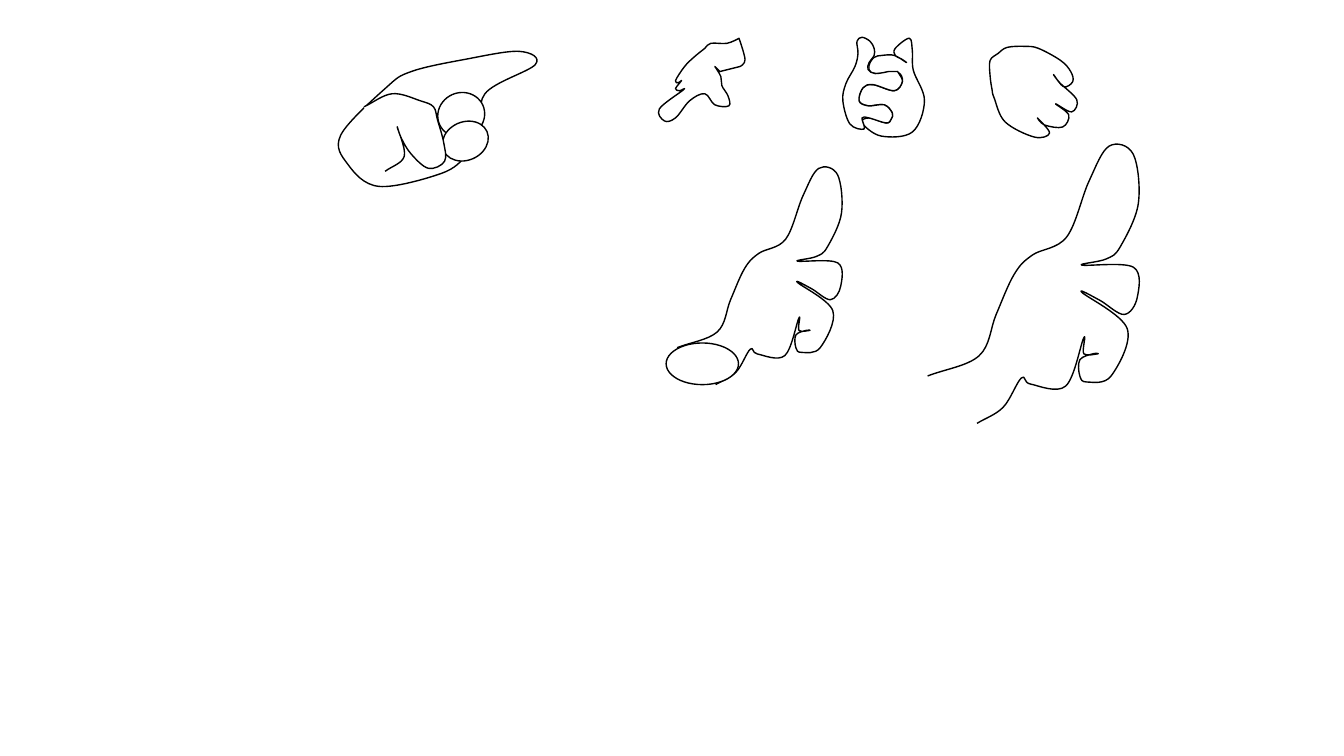
from collections import namedtuple
from itertools import chain

from pptx import Presentation
from pptx.dml.color import RGBColor
from pptx.enum.shapes import MSO_SHAPE as Shape
from pptx.oxml.xmlchemy import OxmlElement
from pptx.util import Inches, Pt

Box = namedtuple("Box", "left top scale")
INK, PAPER = "000000", "FFFFFF"
STROKE = {"width": Pt(1)}
HUNDREDTHS = 100
FINE = 10

THUMBS_UP = {
    "forearm": [(20, 273), (71, 253), (88, 212)],
    "back of hand": [(106, 172), (124, 153), (158, 135)],
    "thumb": [(180, 80), (200, 45), (224, 53), (229, 102), (211, 145), (197, 157)],
    "index finger": [(173, 163), (224, 165), (228, 195), (215, 212), (191, 198)],
    "middle finger": [(173, 190), (218, 226), (202, 273), (178, 279), (171, 273), (171, 257)],
    "crease": [(184, 251), (189, 251), (175, 251)],
    "ring finger": [(175, 235), (157, 283), (122, 281)],
    "wrist": [(113, 275), (95, 304), (69, 320)],
}
POINTING_PALM = {
    "index finger": [(231, 64), (215, 51), (161, 59), (108, 71)],
    "back of hand": [(83, 87), (38, 134), (45, 163), (76, 185)],
    "palm": [(138, 172), (163, 154), (177, 134), (181, 93)],
}
POINTING_FINGERS = {
    "knuckles": [(61, 106), (89, 93), (117, 100), (130, 106)],
    "ring finger": [(134, 119), (140, 141), (141, 160), (125, 167), (108, 153)],
    "little finger": [(98, 137), (94, 126), (101, 155), (82, 170)],
}
FIST = {
    "back of hand": [(99, 47), (117, 46), (130, 48), (152, 60)],
    "index finger": [(162, 71), (164, 81), (155, 86), (145, 74)],
    "middle finger": [(151, 82), (168, 99), (163, 111), (147, 103)],
    "ring finger": [(160, 114), (154, 126), (136, 124), (129, 117)],
    "little finger": [(141, 132), (126, 136), (97, 121)],
    "thumb side": [(86, 97), (84, 89), (82, 75), (82, 60), (90, 53)],
}
CUFF_CORNERS = [(133, 38), (134, 66), (114, 71), (109, 66)]
REACHING = {
    "cuff edge": [(133, 38), (139, 59), (134, 66), (114, 71), (109, 66)],
    "thumb": [(115, 76), (116, 85), (122, 95), (123, 105), (109, 104), (99, 93)],
    "index finger": [(84, 100), (70, 117), (59, 120), (54, 108), (78, 89)],
    "curled fingers": [(74, 90), (70, 88), (76, 80), (73, 82), (70, 80)],
    "back of hand": [(79, 66), (88, 57), (99, 48), (105, 43), (121, 43)],
}
SEAM = [(91, 72), (95, 81), (87, 90), (66, 84), (56, 87), (52, 100), (61, 105),
        (77, 104), (85, 112), (84, 118), (79, 122), (62, 117)]
SEAM_CORNERS = [(81, 71), (90, 71)]
CLASP_RIGHT = {
    "thumb": [(99, 62), (95, 59), (88, 55), (88, 48), (102, 38), (105, 51)],
    "back of hand": [(106, 70), (117, 100), (105, 131), (74, 135), (55, 122)],
    "fingers": SEAM[::-1],
    "index finger": [(76, 73), (64, 72), (62, 65), (67, 57), (75, 55), (87, 55)],
}
CLASP_LEFT = {
    "thumb": [(50, 41), (55, 37), (63, 41), (67, 48), (67, 55)],
    "index finger": [(62, 62), (61, 69), (68, 73), (81, 71), (90, 71)],
    "fingers": SEAM,
    "back of hand": [(55, 117), (57, 128), (43, 123), (36, 100), (39, 83), (48, 66), (51, 53)],
}


def color(value):
    """Return the colour for a hex string."""
    return RGBColor.from_string(value)


def ink(part):
    """Give a part its white fill and thin black outline."""
    part.shadow.inherit = False
    part.fill.solid()
    part.fill.fore_color.rgb = color(PAPER)
    part.line.color.rgb = color(INK)
    for name, value in STROKE.items():
        setattr(part.line, name, value)


def mirror(end, neighbour):
    """Return the neighbour reflected through an open end."""
    return tuple(2 * e - n for e, n in zip(end, neighbour))


def smooth(landmarks, closed, corners):
    """Return Bezier points through the landmarks, parallel to each one's neighbours."""
    if closed:
        path = [landmarks[-1], *landmarks, *landmarks[:2]]
    else:
        path = [mirror(*landmarks[:2]), *landmarks, mirror(*landmarks[:-3:-1])]

    def handle(index, direction):
        """Return the control point a sixth of the neighbour distance away."""
        here, before, after = path[index], path[index - 1], path[index + 1]
        reach = 0 if here in corners else direction / 6
        return tuple(h + reach * (a - b) for h, a, b in zip(here, after, before))

    curve = [path[1]]
    for index in range(1, len(path) - 2):
        curve += [handle(index, 1), handle(index + 1, -1), path[index + 1]]
    return [(x * FINE, y * FINE) for x, y in curve]


def add_outline(shapes, box, parts, closed=True, corners=()):
    """Draw one smooth outline through all the parts of a hand, in the box."""
    landmarks = list(chain.from_iterable(parts.values()))
    start, *points = smooth(landmarks, closed, corners)
    unit = Inches(box.scale) / HUNDREDTHS / FINE
    builder = shapes.build_freeform(*start, scale=unit)
    builder.add_line_segments(points, close=closed)
    hand = builder.convert_to_shape(Inches(box.left), Inches(box.top))
    segments = hand.element.xpath(".//a:lnTo")
    for first in range(0, len(points), 3):
        curve = OxmlElement("a:cubicBezTo")
        segments[first].addprevious(curve)
        for segment in segments[first:first + 3]:
            curve.append(segment[0])
            segment.getparent().remove(segment)
    ink(hand)


def add_oval(shapes, box, left, top, width, height, rotation=0):
    """Draw an oval, given in inches before scaling, in the box."""
    oval = shapes.add_shape(
        Shape.OVAL,
        Inches(box.left + left * box.scale), Inches(box.top + top * box.scale),
        Inches(width * box.scale), Inches(height * box.scale))
    oval.rotation = rotation
    ink(oval)


def draw_thumbs_up(shapes, box):
    """Draw the raised thumb, open at the forearm."""
    add_outline(shapes, box, THUMBS_UP, closed=False)


def draw_cuffed_thumb(shapes, box):
    """Draw the raised thumb with an oval cuff over the forearm."""
    group = shapes.add_group_shape().shapes
    draw_thumbs_up(group, box)
    add_oval(group, box, left=0.06, top=2.67, width=0.92, height=0.53)


def draw_pointing_hand(shapes, box):
    """Draw the hand with a stretched index finger."""
    group = shapes.add_group_shape().shapes
    add_outline(group, box, POINTING_PALM)
    for knuckle in ((1.34, 0.92, 0.47, 0.44), (1.38, 1.21, 0.47, 0.38)):
        add_oval(group, box, *knuckle, rotation=336.3)
    add_outline(group, box, POINTING_FINGERS, closed=False)


def draw_fist(shapes, box):
    """Draw the closed fist."""
    add_outline(shapes, box, FIST)


def draw_reaching_hand(shapes, box):
    """Draw the reaching hand with its sharp cuff."""
    add_outline(shapes, box, REACHING, corners=CUFF_CORNERS)


def draw_clasped_hands(shapes, box):
    """Draw two hands that meet along one seam."""
    group = shapes.add_group_shape().shapes
    for hand in (CLASP_RIGHT, CLASP_LEFT):
        add_outline(group, box, hand, corners=SEAM_CORNERS)


LAYOUT = [
    (draw_thumbs_up, Box(9, 1, 1)),
    (draw_cuffed_thumb, Box(6.56, 1.32, 0.78)),
    (draw_pointing_hand, Box(3, 0, 1)),
    (draw_fist, Box(9, 0, 1)),
    (draw_reaching_hand, Box(6, 0, 1)),
    (draw_clasped_hands, Box(8, 0, 1)),
]


def main():
    """Build the sheet of hand drawings."""
    deck = Presentation()
    deck.slide_width, deck.slide_height = Inches(13.33), Inches(7.5)
    slide = deck.slides.add_slide(deck.slide_layouts[6])
    for draw, box in LAYOUT:
        draw(slide.shapes, box)
    deck.save("out.pptx")


if __name__ == "__main__":
    main()
